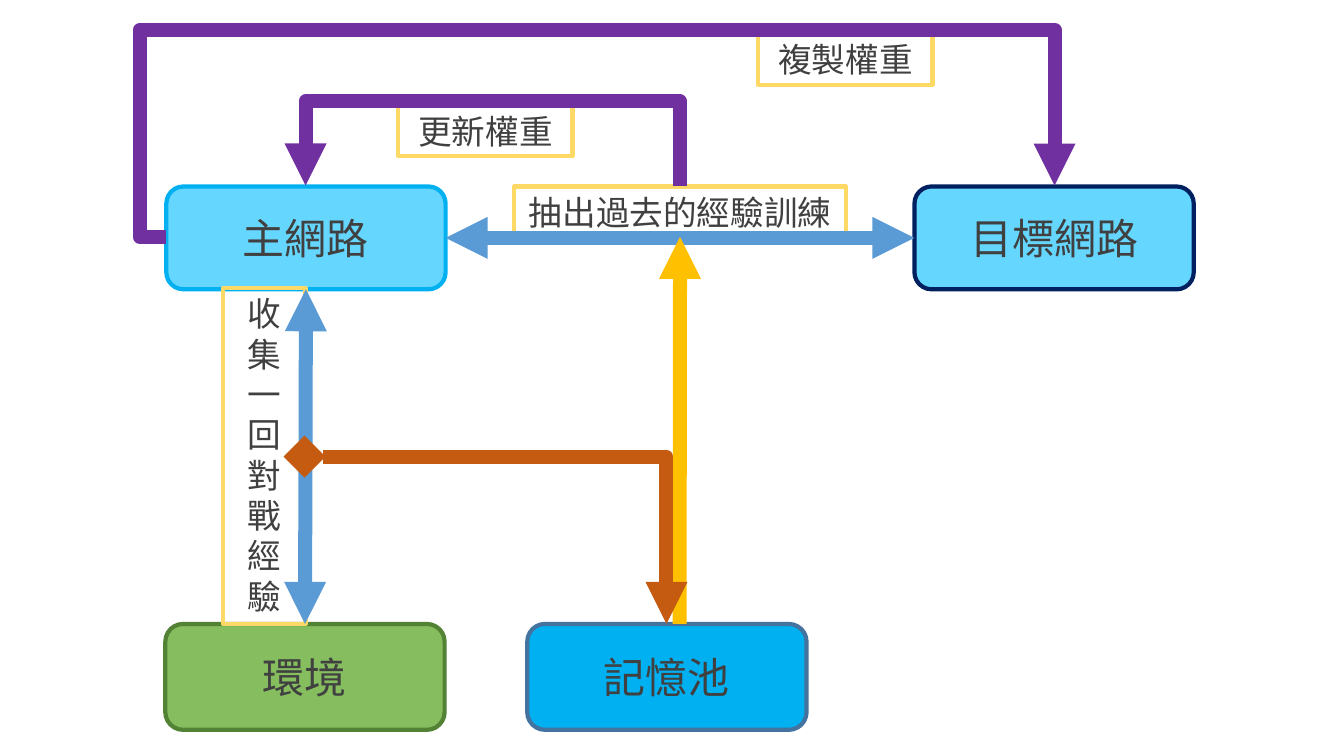
import pptx
import pptx.util
import pptx.dml.color
import pptx.enum.shapes
import pptx.enum.text
import pptx.oxml
import pptx.oxml.ns
from lxml import etree

Inches, Pt, qn = pptx.util.Inches, pptx.util.Pt, pptx.oxml.ns.qn
SHAPE = pptx.enum.shapes.MSO_SHAPE
CONNECTOR = pptx.enum.shapes.MSO_CONNECTOR
TEXT = pptx.enum.text


def rgb(color):
    return pptx.dml.color.RGBColor.from_string(color)


def style_connector(c, color, ends):
    """Thick line with arrowheads, ends maps headEnd/tailEnd to a type."""
    c.line.color.rgb = rgb(color)
    c.line.width = Pt(10)
    ln = c.line._get_or_add_ln()
    for tag, kind in ends.items():
        etree.SubElement(ln, qn("a:" + tag), type=kind)
    etree.SubElement(c._element.spPr, qn("a:effectLst"))


prs = pptx.Presentation()
prs.slide_width, prs.slide_height = Inches(13.33), Inches(7.5)
slide = prs.slides.add_slide(prs.slide_layouts[6])

# Labels have no fill; nodes are filled rounded boxes
LABEL = {"kind": SHAPE.RECTANGLE, "size": 24, "line": "FFD966", "fill": None,
         "frame": {"word_wrap": True, "vertical_anchor": TEXT.MSO_ANCHOR.TOP,
                   "auto_size": TEXT.MSO_AUTO_SIZE.SHAPE_TO_FIT_TEXT}}
NODE = {"kind": SHAPE.ROUNDED_RECTANGLE, "size": 30,
        "frame": {"word_wrap": True, "vertical_anchor": TEXT.MSO_ANCHOR.MIDDLE}}
boxes = [
    ("複製權重", (7.52, 0.34, 1.73, 0.5), LABEL),
    ("更新權重", (3.95, 1.05, 1.73, 0.5), LABEL),
    ("環境", (1.64, 6.19, 2.77, 1.05), {**NODE, "fill": "85BD5F", "line": "548235"}),
    ("主網路", (1.65, 1.85, 2.77, 1.02), {**NODE, "fill": "65D7FF", "line": "00B0F0"}),
    ("記憶池", (5.23, 6.19, 2.77, 1.05), {**NODE, "fill": "00B0F0", "line": "43739E"}),
    ("目標網路", (9.07, 1.85, 2.77, 1.02), {**NODE, "fill": "65D7FF", "line": "002060"}),
    ("收集一回對戰經驗", (2.21, 2.86, 0.82, 3.33), LABEL),
    ("抽出過去的經驗訓練", (5.1, 1.85, 3.29, 0.5), LABEL),
]
shapes = {}
for text, place, fmt in boxes:
    sp = slide.shapes.add_shape(fmt["kind"], *map(Inches, place))
    sp.shadow.inherit = False
    if fmt["fill"]:
        sp.fill.solid()
        sp.fill.fore_color.rgb = rgb(fmt["fill"])
    else:
        sp.fill.background()
    sp.line.color.rgb = rgb(fmt["line"])
    sp.line.width = Pt(3)
    tf = sp.text_frame
    for name, value in fmt["frame"].items():
        setattr(tf, name, value)
    p = tf.paragraphs[0]
    p.alignment = TEXT.PP_ALIGN.CENTER
    r = p.add_run()
    r.text = text
    for name, value in {"size": Pt(fmt["size"]), "name": "Courier New"}.items():
        setattr(r.font, name, value)
    r.font.color.rgb = rgb("404040")
    shapes[text] = sp

# Straight arrows: ends, colour, arrowheads, joined boxes
both = {"headEnd": "triangle", "tailEnd": "triangle"}
head = {"headEnd": "triangle"}
straight = [
    ((3.03, 2.86, 3.02, 6.19), "5B9BD5", both, ("主網路", 2), ("環境", 0)),
    ((4.42, 2.35, 9.07, 2.35), "5B9BD5", both, ("主網路", 3), ("目標網路", 1)),
    ((6.74, 2.35, 6.74, 6.19), "FFC000", head, ("抽出過去的經驗訓練", 2), None),
]
for ends, color, arrows, begin, end in straight:
    c = slide.shapes.add_connector(CONNECTOR.STRAIGHT, *map(Inches, ends))
    style_connector(c, color, arrows)
    c.begin_connect(shapes[begin[0]], begin[1])
    if end:
        c.end_connect(shapes[end[0]], end[1])

# Elbow arrows: frame before rotation, preset, transform, bend ratios
elbows = [
    ((3.02, 4.53, 3.59, 1.66), "bentConnector2", {}, [],
     "C55A11", {"headEnd": "diamond", "tailEnd": "triangle"}),
    ((4.88, -0.01, 0.01, 3.71), "bentConnector3",
     {"rot": "16200000", "flipH": "1"}, [-85], "7030A0", head),
    ((5.8, -2.31, 0.51, 8.81), "bentConnector4",
     {"rot": "16200000", "flipH": "1", "flipV": "1"}, [-3.03, 1.03], "7030A0", head),
]
for (x, y, w, h), preset, transform, bends, color, arrows in elbows:
    c = slide.shapes.add_connector(CONNECTOR.ELBOW, *map(Inches, (x, y, x + w, y + h)))
    style_connector(c, color, arrows)
    spPr = c._element.spPr
    for name, value in transform.items():
        spPr.find(qn("a:xfrm")).set(name, value)
    geom = spPr.find(qn("a:prstGeom"))
    geom.set("prst", preset)
    guides = geom.find(qn("a:avLst"))
    for i, bend in enumerate(bends, 1):
        etree.SubElement(guides, qn("a:gd"), name=f"adj{i}",
                         fmla=f"val {round(bend * 100000)}")

prs.save("out.pptx")
